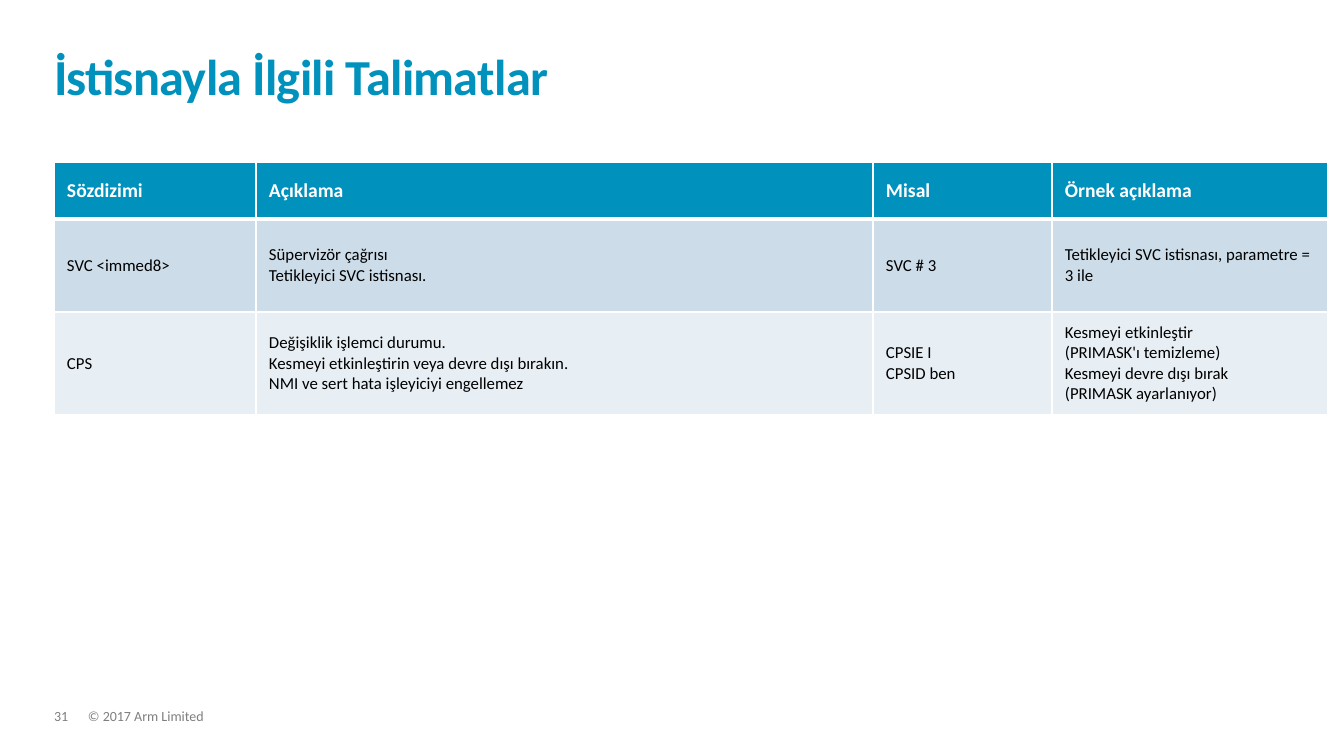
from lxml import etree
from pptx import Presentation
from pptx import util as u
from pptx.dml.color import RGBColor
from pptx.enum import text
from pptx.oxml.ns import qn

PX = 914400 / 100.8
FONT = "Calibri"
COLORS = {"accent": "0091BD", "white": "FFFFFF", "black": "000000",
          "grey": "7F7F7F", "band1": "CCDCE8", "band2": "E7EEF4"}

COLUMNS = [202, 617, 179, 276]
ROWS = [
    (57, "accent", ["Sözdizimi", "Açıklama", "Misal", "Örnek açıklama"]),
    (93, "band1", ["SVC <immed8>",
                   "Süpervizör çağrısı\nTetikleyici SVC istisnası.",
                   "SVC # 3",
                   "Tetikleyici SVC istisnası, parametre = 3 ile"]),
    (103, "band2", ["CPS",
                    "Değişiklik işlemci durumu.\n"
                    "Kesmeyi etkinleştirin veya devre dışı bırakın.\n"
                    "NMI ve sert hata işleyiciyi engellemez",
                    "CPSIE I\nCPSID ben",
                    "Kesmeyi etkinleştir\n(PRIMASK'ı temizleme)\n"
                    "Kesmeyi devre dışı bırak\n(PRIMASK ayarlanıyor)"]),
]


def px(n):
    return u.Emu(round(n * PX))


def rgb(name):
    return RGBColor.from_string(COLORS[name])


def write(tf, content, size, color, bold=False, line=None, after=None, tracking=None):
    """Fill a text frame, one paragraph per line of content."""
    tf.word_wrap = True
    for i, words in enumerate(content.split("\n")):
        p = tf.paragraphs[0] if i == 0 else tf.add_paragraph()
        p.alignment = text.PP_ALIGN.LEFT
        if line:
            p.line_spacing = line
        if after is not None:
            p.space_after = u.Pt(after)
        r = p.add_run()
        r.text = words
        r.font.name, r.font.size, r.font.bold = FONT, u.Pt(size), bold
        r.font.color.rgb = rgb(color)
        if tracking:
            r.font._element.set("spc", str(round(tracking * 100)))


def set_margins(box, x, y):
    box.margin_left = box.margin_right = px(x)
    box.margin_top = box.margin_bottom = px(y)


def border(cell, side, width):
    ln = etree.SubElement(cell._tc.get_or_add_tcPr(), qn("a:ln" + side), w=str(u.Pt(width)))
    fill = etree.SubElement(ln, qn("a:solidFill"))
    etree.SubElement(fill, qn("a:srgbClr"), val=COLORS["white"])


def add_title(s, x, y, w, h):
    sp = s.shapes.title
    sp.left, sp.top, sp.width, sp.height = map(px, (x, y, w, h))
    tf = sp.text_frame
    set_margins(tf, 0, 0)
    tf.vertical_anchor = text.MSO_ANCHOR.BOTTOM
    tf.auto_size = text.MSO_AUTO_SIZE.NONE
    write(tf, "İstisnayla İlgili Talimatlar", 36, "accent", bold=True,
          line=0.85, tracking=-0.5)


def add_instructions(s, x, y):
    w, h = sum(COLUMNS), sum(row[0] for row in ROWS)
    table = s.shapes.add_table(len(ROWS), len(COLUMNS), px(x), px(y), px(w), px(h)).table
    for column, width in zip(table.columns, COLUMNS):
        column.width = px(width)
    for i, (height, fill, entries) in enumerate(ROWS):
        table.rows[i].height = px(height)
        header = i == 0
        for j, entry in enumerate(entries):
            cell = table.cell(i, j)
            set_margins(cell, 13, 5)
            cell.vertical_anchor = text.MSO_ANCHOR.MIDDLE
            # Thick rule between header and body, thin ones elsewhere
            for side, width in (("L", 1), ("R", 1), ("T", 3 if i == 1 else 1),
                                ("B", 3 if header else 1)):
                border(cell, side, width)
            cell.fill.solid()
            cell.fill.fore_color.rgb = rgb(fill)
            write(cell.text_frame, entry, 14 if header else 12,
                  "white" if header else "black", bold=header)


def add_footer(s, x, y, w, h):
    number_w = 34
    for left, width, words in ((x, number_w, "31"),
                               (x + number_w, w - number_w, "© 2017 Arm Limited")):
        tf = s.shapes.add_textbox(px(left), px(y), px(width), px(h)).text_frame
        set_margins(tf, 0, 0)
        write(tf, words, 10, "grey", line=0.9, after=6)


def main():
    prs = Presentation()
    prs.slide_width, prs.slide_height = px(1344), px(756)
    s = prs.slides.add_slide(prs.slide_layouts[5])
    add_title(s, 54, 32, 1233, 74)
    add_instructions(s, 54, 162)
    add_footer(s, 54, 709, 954, 15)
    prs.save("out.pptx")


if __name__ == "__main__":
    main()
